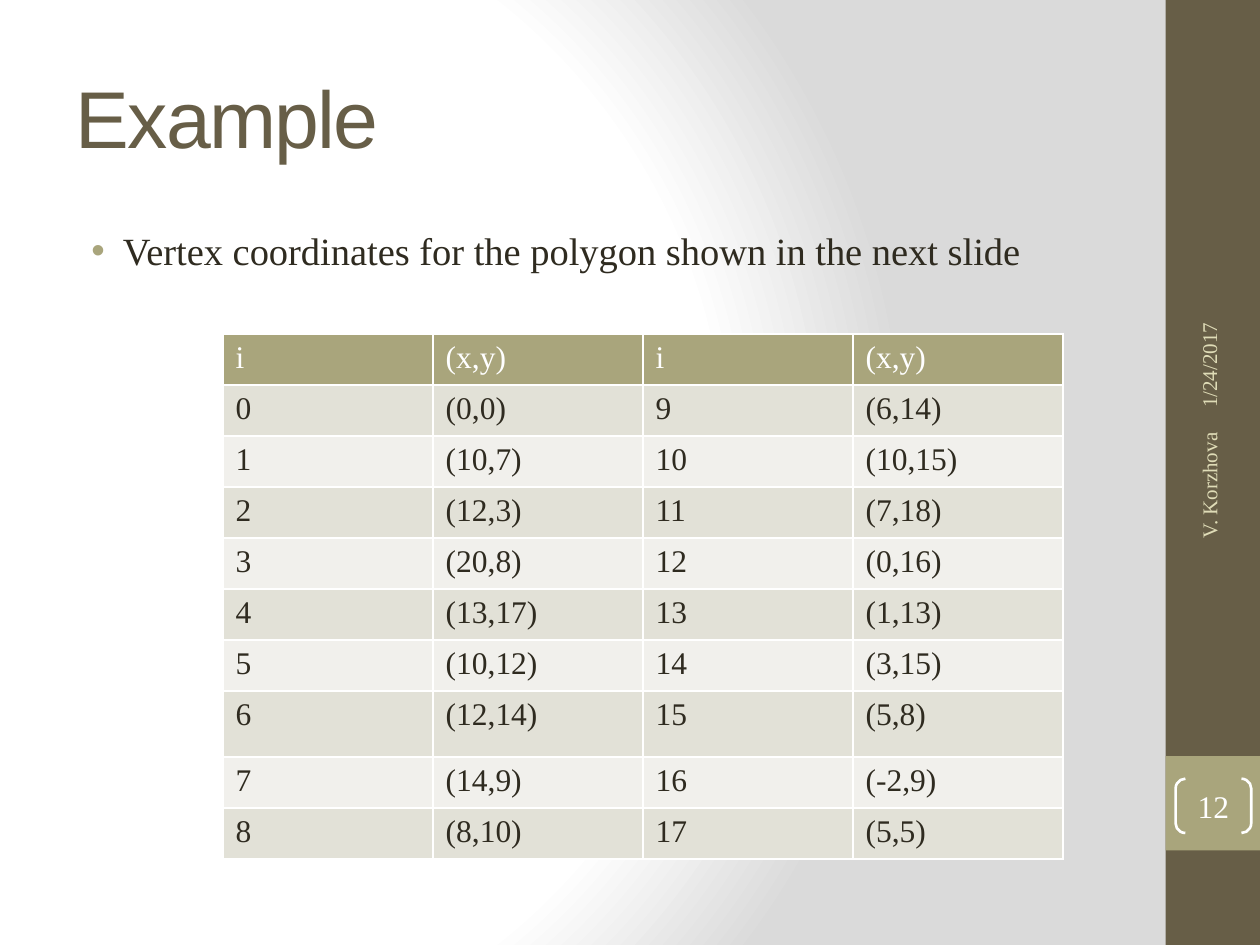
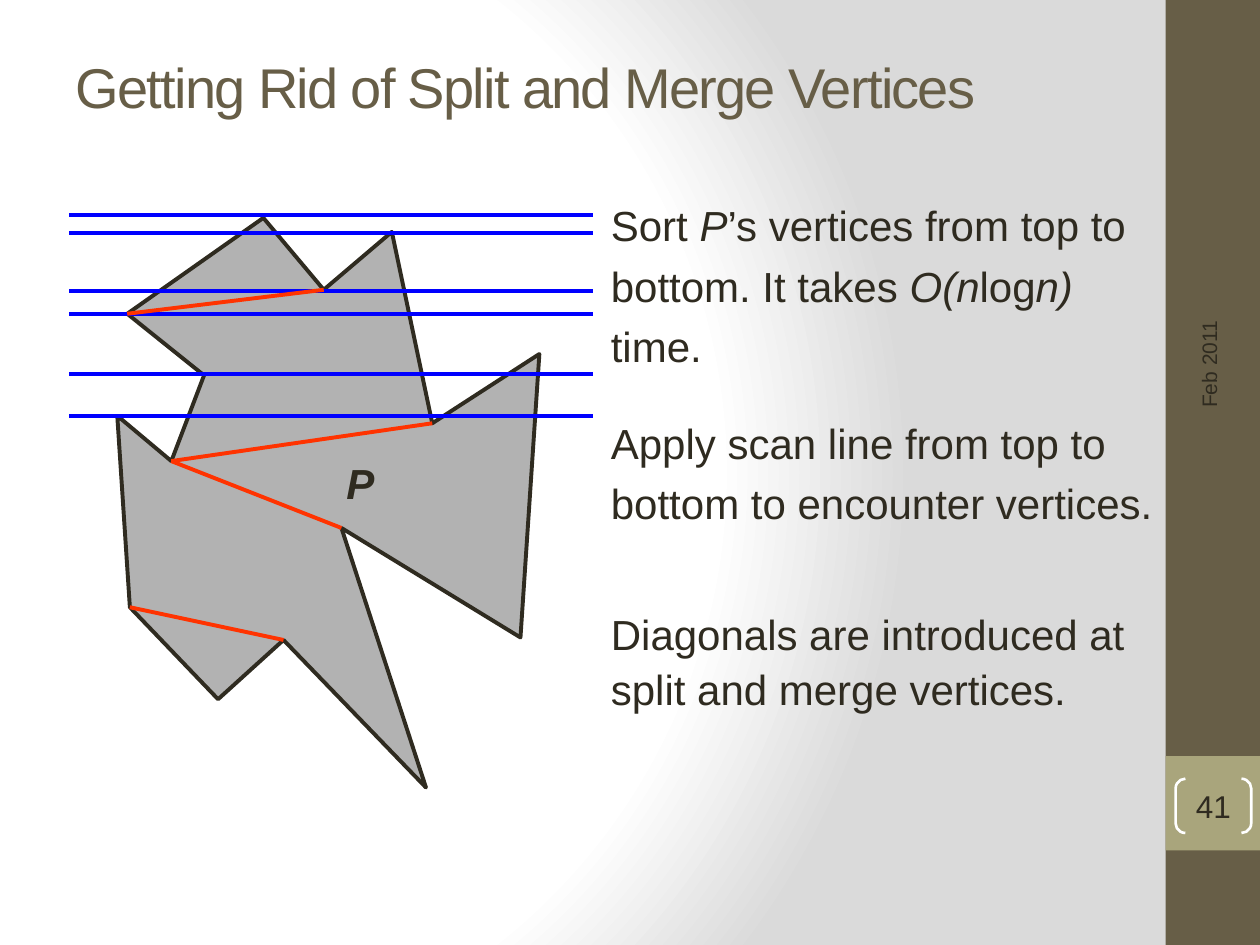
from dataclasses import dataclass

from pptx import Presentation
from pptx.dml.color import RGBColor
from pptx.enum.shapes import MSO_CONNECTOR, MSO_SHAPE
from pptx.enum.text import MSO_ANCHOR, MSO_AUTO_SIZE, PP_ALIGN
from pptx.oxml import parse_xml
from pptx.oxml.ns import nsdecls, qn
from pptx.util import Pt

TITLE_AND_CONTENT, TITLE_ONLY = 1, 5


@dataclass(frozen=True)
class Theme:
    sans: str = "Arial"
    serif: str = "Times New Roman"
    ink: str = "2F2B20"
    brown: str = "675E47"
    olive: str = "A9A57C"
    cream: str = "DFDCB7"
    white: str = "FFFFFF"
    shade: str = "DADADA"
    rows: tuple = ("E2E1D7", "F1F0EC")
    polygon: str = "B2B2B2"
    scan_line: str = "0000FF"
    diagonal: str = "FF3300"
    title_size: int = 46
    long_title_size: int = 32
    text_size: int = 24
    list_size: int = 22
    table_size: int = 18
    date_size: int = 12
    line: float = 2.25


THEME = Theme()

PAGE_WIDTH, PAGE_HEIGHT = 720, 540
BAND_LEFT, BAND_WIDTH = 666, 54
NUMBER_TOP = 432

COORDINATES = [
    "(0,0)", "(10,7)", "(12,3)", "(20,8)", "(13,17)", "(10,12)",
    "(12,14)", "(14,9)", "(8,10)", "(6,14)", "(10,15)", "(7,18)",
    "(0,16)", "(1,13)", "(3,15)", "(5,8)", "(-2,9)", "(5,5)",
]

# Points relative to the top left corner of the figure
VERTICES = [
    (203.8, 326.9), (122.4, 242.6), (85, 276.5), (34.6, 223.9), (27.4, 114.5),
    (58.3, 140.4), (77, 91.4), (33.1, 56.2), (110.9, 1.4), (145.4, 42.5),
    (184.3, 9.4), (207.4, 118.8), (268.6, 79.2), (257.8, 241.2), (155.5, 178.6),
]
DIAGONALS = [(9, 7), (11, 5), (14, 5), (1, 3)]
SCAN_HEIGHTS = [0, 10.1, 43.2, 56.2, 90.7, 114.5]

ITALIC = {"italic": True}
STATEMENTS = [
    ((342, 105, 316, 111), 1.2, [
        ("Sort ", {}), ("P", ITALIC),
        ("’s vertices from top to bottom. It takes ", {}),
        ("O(n", ITALIC), ("log", {}), ("n)", ITALIC), (" time.", {})]),
    ((342, 229, 331, 76), 1.2, [
        ("Apply scan line from top to bottom to encounter vertices.", {})]),
    ((342, 341.3, 313, 71), 1.1, [
        ("Diagonals are introduced at split and merge vertices.", {})]),
]


def rgb(value):
    return RGBColor.from_string(value)


def points(*lengths):
    return [Pt(length) for length in lengths]


def apply(target, formats):
    for attribute, value in formats.items():
        setattr(target, attribute, value)


def write(paragraph, text, font, size, color, **formats):
    run = paragraph.add_run()
    run.text = text
    apply(run.font, {"name": font, "size": Pt(size), "bold": False, **formats})
    run.font.color.rgb = rgb(color)
    return run


def place(shape, box):
    apply(shape, dict(zip(("left", "top", "width", "height"), points(*box))))


def text_area(shapes, box, **formats):
    """Add a wrapping text box and return its first paragraph."""
    frame = shapes.add_textbox(*points(*box)).text_frame
    apply(frame, {"word_wrap": True, **formats})
    return frame.paragraphs[0]


def straight_line(shapes, start, end, color):
    line = shapes.add_connector(MSO_CONNECTOR.STRAIGHT, *points(*start, *end))
    line.line.color.rgb = rgb(color)
    line.line.width = Pt(THEME.line)
    line.element.spPr.append(parse_xml(f'<a:effectLst {nsdecls("a")}/>'))


def paint_background(master):
    master.background.fill.solid()
    properties = master.element.find(".//" + qn("p:bgPr"))
    stops = "".join(
        f'<a:gs pos="{position}"><a:srgbClr val="{color}"/></a:gs>'
        for position, color in ((0, THEME.white), (75000, THEME.white), (100000, THEME.shade))
    )
    gradient = parse_xml(
        f'<a:gradFill rotWithShape="1" {nsdecls("a")}><a:gsLst>{stops}</a:gsLst>'
        '<a:path path="circle"><a:fillToRect l="20000" t="50000" r="100000" b="50000"/>'
        "</a:path></a:gradFill>"
    )
    properties.replace(properties[0], gradient)


def add_master_bands(master, slide):
    """Draw the bands on a slide and move them to the master, behind its placeholders."""
    tree = master.element.find(".//" + qn("p:spTree"))
    bands = [(0, PAGE_HEIGHT, THEME.brown), (NUMBER_TOP, BAND_WIDTH, THEME.olive)]
    for order, (top, height, color) in enumerate(bands):
        band = slide.shapes.add_shape(
            MSO_SHAPE.RECTANGLE, *points(BAND_LEFT, top, BAND_WIDTH, height))
        band.shadow.inherit = False
        band.fill.solid()
        band.fill.fore_color.rgb = rgb(color)
        band.line.fill.background()
        band.element.nvSpPr.cNvPr.id = 101 + order
        tree.insert(2 + order, band.element)


def add_title(slide, text, box, size):
    title = slide.shapes.title
    place(title, box)
    apply(title.text_frame, {"vertical_anchor": MSO_ANCHOR.MIDDLE,
                             "auto_size": MSO_AUTO_SIZE.NONE})
    paragraph = title.text_frame.paragraphs[0]
    paragraph.alignment = PP_ALIGN.LEFT
    run = write(paragraph, text, THEME.sans, size, THEME.brown)
    run.font._element.set("spc", "-100")


def add_band_text(slide, text, box, font, color, alignment=PP_ALIGN.LEFT):
    """Add text that reads upwards; the box is the one before rotation."""
    label = slide.shapes.add_textbox(*points(*box))
    label.rotation = 270
    apply(label.text_frame, {"word_wrap": True, "vertical_anchor": MSO_ANCHOR.MIDDLE})
    paragraph = label.text_frame.paragraphs[0]
    paragraph.alignment = alignment
    write(paragraph, text, font, THEME.date_size, color)


def add_footer(slide, date, number, font, date_color, number_color):
    add_band_text(slide, date, (594.7, 129.6, 192.2, 28.8), font, date_color)
    brackets = slide.shapes.add_shape(
        MSO_SHAPE.DOUBLE_BRACKET, *points(BAND_LEFT + 5.8, NUMBER_TOP + 13, 43.2, 31))
    brackets.adjustments[0] = 0.18
    brackets.shadow.inherit = False
    brackets.fill.background()
    brackets.line.color.rgb = rgb(THEME.white)
    brackets.line.width = Pt(1.5)
    frame = brackets.text_frame
    apply(frame, {"vertical_anchor": MSO_ANCHOR.MIDDLE, "margin_left": 0,
                  "margin_right": 0, "margin_top": 0, "margin_bottom": 0})
    paragraph = frame.paragraphs[0]
    paragraph.alignment = PP_ALIGN.CENTER
    write(paragraph, number, font, THEME.table_size, number_color)


def add_bullet(slide, text, box):
    body = slide.placeholders[1]
    place(body, box)
    body.text_frame.auto_size = MSO_AUTO_SIZE.NONE
    paragraph = body.text_frame.paragraphs[0]
    properties = paragraph._p.get_or_add_pPr()
    apply(properties, {"marL": Pt(27), "indent": Pt(-18)})
    for bullet in (f'<a:buClr {nsdecls("a")}><a:srgbClr val="{THEME.olive}"/></a:buClr>',
                   f'<a:buFont {nsdecls("a")} typeface="{THEME.sans}"/>',
                   f'<a:buChar {nsdecls("a")} char="•"/>'):
        properties.append(parse_xml(bullet))
    properties.set("marL", str(Pt(27)))
    properties.set("indent", str(Pt(-18)))
    paragraph.space_before = Pt(0)
    write(paragraph, text, THEME.serif, THEME.list_size, THEME.ink)


def format_cell(cell, text, fill, color):
    properties = cell._tc.get_or_add_tcPr()
    for edge in ("lnL", "lnR", "lnT", "lnB"):
        properties.append(parse_xml(
            f'<a:{edge} w="{Pt(1)}" {nsdecls("a")}><a:solidFill>'
            f'<a:srgbClr val="{THEME.white}"/></a:solidFill></a:{edge}>'))
    cell.fill.solid()
    cell.fill.fore_color.rgb = rgb(fill)
    write(cell.text_frame.paragraphs[0], text, THEME.serif, THEME.table_size, color)


def add_vertex_table(slide, box):
    """Fill two side by side halves with index and coordinates."""
    half = len(COORDINATES) // 2
    rows = [("i", "(x,y)") * 2] + [
        (str(i), COORDINATES[i], str(i + half), COORDINATES[i + half]) for i in range(half)]
    table = slide.shapes.add_table(len(rows), 4, *points(*box)).table
    table.horz_banding = False
    for column in table.columns:
        column.width = Pt(box[2] / 4)
    for r, values in enumerate(rows):
        table.rows[r].height = Pt(37.7 if r == 7 else 29.15)
        fill = THEME.rows[(r - 1) % 2] if r else THEME.olive
        for c, text in enumerate(values):
            format_cell(table.cell(r, c), text, fill, THEME.ink if r else THEME.white)


def add_polygon_figure(slide, left, top, width):
    shapes = slide.shapes.add_group_shape().shapes
    corners = [(left + x, top + y) for x, y in VERTICES]
    outline = shapes.build_freeform(*points(*corners[0]), scale=1.0)
    outline.add_line_segments([points(*corner) for corner in corners[1:]], close=True)
    polygon = outline.convert_to_shape()
    polygon.shadow.inherit = False
    polygon.fill.solid()
    polygon.fill.fore_color.rgb = rgb(THEME.polygon)
    polygon.line.color.rgb = rgb(THEME.ink)
    polygon.line.width = Pt(THEME.line)
    label = text_area(shapes, (left + 151.2, top + 134.6, 48, 36))
    write(label, "P", THEME.sans, THEME.text_size, THEME.ink, bold=True, italic=True)
    for height in SCAN_HEIGHTS:
        straight_line(shapes, (left, top + height), (left + width, top + height),
                      THEME.scan_line)
    for start, end in DIAGONALS:
        straight_line(shapes, corners[start], corners[end], THEME.diagonal)


def build_example(slide):
    add_title(slide, "Example", (36, 21.6, 600, 90), THEME.title_size)
    add_bullet(slide, "Vertex coordinates for the polygon shown in the next slide",
               (36, 126, 600, 378))
    add_vertex_table(slide, (127.5, 190.8, 480, 300))
    add_footer(slide, "1/24/2017", "12", THEME.serif, THEME.cream, THEME.white)
    add_band_text(slide, "V. Korzhova", (597.6, 319, 186.5, 28.8), THEME.serif,
                  THEME.cream, PP_ALIGN.RIGHT)


def build_split_and_merge(slide):
    add_footer(slide, "Feb 2011", "41", THEME.sans, THEME.ink, THEME.ink)
    add_title(slide, "Getting Rid of Split and Merge Vertices",
              (36, 21.6, 648, 55.4), THEME.long_title_size)
    for box, spacing, runs in STATEMENTS:
        paragraph = text_area(slide.shapes, box)
        paragraph.line_spacing = spacing
        for text, formats in runs:
            write(paragraph, text, THEME.sans, THEME.text_size, THEME.ink, **formats)
    add_polygon_figure(slide, 39.6, 123.1, 299.5)


def main():
    deck = Presentation()
    apply(deck, {"slide_width": Pt(PAGE_WIDTH), "slide_height": Pt(PAGE_HEIGHT)})
    example = deck.slides.add_slide(deck.slide_layouts[TITLE_AND_CONTENT])
    paint_background(deck.slide_master)
    add_master_bands(deck.slide_master, example)
    build_example(example)
    build_split_and_merge(deck.slides.add_slide(deck.slide_layouts[TITLE_ONLY]))
    deck.save("out.pptx")


if __name__ == "__main__":
    main()
